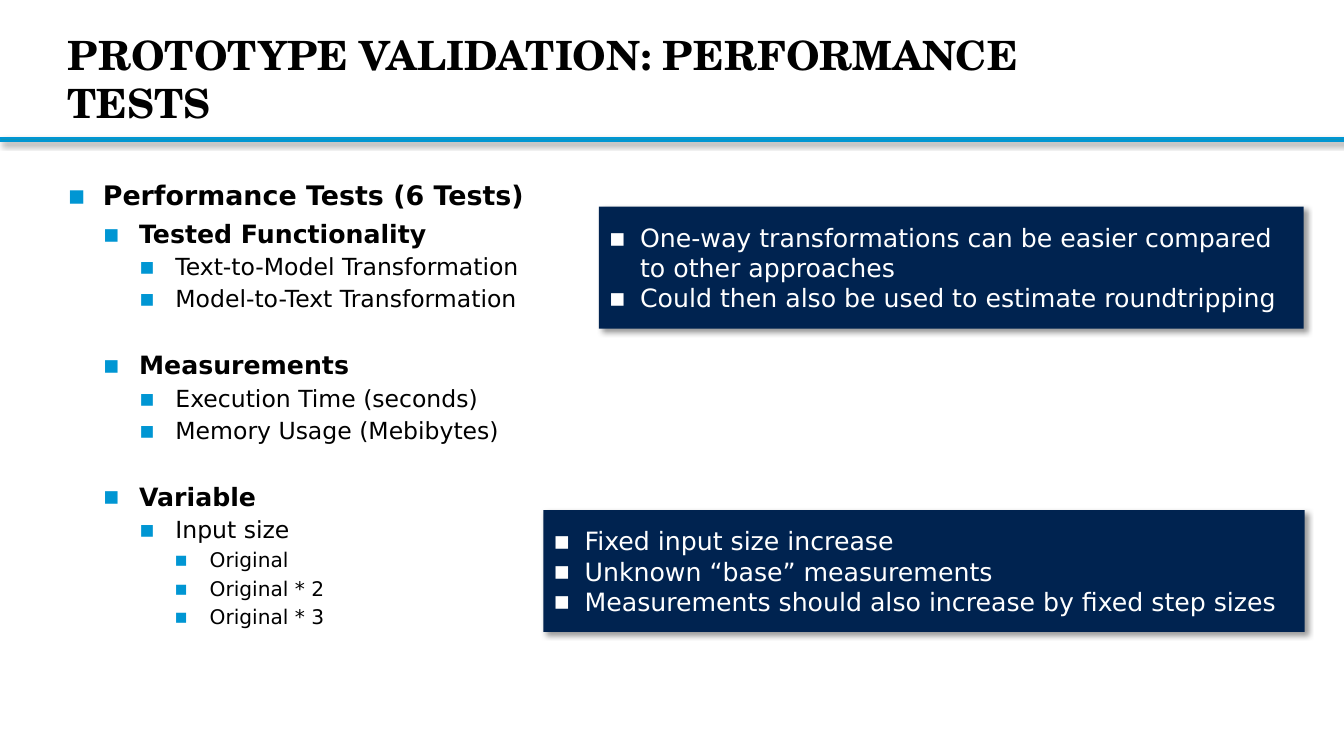
from lxml import etree
from pptx import Presentation
from pptx import util as u
from pptx.dml.color import RGBColor
from pptx.enum import shapes, text
from pptx.oxml import parse_xml
from pptx.oxml.ns import nsdecls, qn

TITLE = "PROTOTYPE VALIDATION: PERFORMANCE TESTS"
OUTLINE = [
    (0, "Performance Tests (6 Tests)"),
    (1, "Tested Functionality"),
    (2, "Text-to-Model Transformation"),
    (2, "Model-to-Text Transformation"),
    (1, "Measurements"),
    (2, "Execution Time (seconds)"),
    (2, "Memory Usage (Mebibytes)"),
    (1, "Variable"),
    (2, "Input size"),
    (3, "Original"),
    (3, "Original * 2"),
    (3, "Original * 3"),
]
LEVELS = [
    dict(size=19.2, bold=True, indent=0.35, hanging=0.35, after=7.2),
    dict(size=18, bold=True, indent=0.71, hanging=0.36, after=4.8),
    dict(size=16.8, bold=False, indent=1.07, hanging=0.36, after=4.8),
    dict(size=14.4, bold=False, indent=1.41, hanging=0.35, after=4.8),
]
SECTION_GAP = 23.7
NOTES = [
    ((5.94, 2.05, 6.99, 1.21), [
        "One-way transformations can be easier compared to other approaches",
        "Could then also be used to estimate roundtripping",
    ]),
    ((5.39, 5.06, 7.55, 1.21), [
        "Fixed input size increase",
        "Unknown “base” measurements",
        "Measurements should also increase by fixed step sizes",
    ]),
]
SERIF, SANS = "TeX Gyre Schola", "DejaVu Sans"
BLACK, WHITE, NAVY, BLUE, TEAL = "000000", "FFFFFF", "002350", "0096D3", "0C94B7"


def color(value):
    return RGBColor.from_string(value)


def add_span(para, words, size, face, tint, bold=False):
    span = para.add_run()
    span.text = words
    span.font.size = u.Pt(size)
    span.font.name = face
    span.font.bold = bold
    span.font.color.rgb = color(tint)


def add_bullet(para, indent, hanging, tint):
    props = para._p.get_or_add_pPr()
    props.set("marL", str(u.Inches(indent)))
    props.set("indent", str(-u.Inches(hanging)))
    bullet_color = etree.SubElement(props, qn("a:buClr"))
    etree.SubElement(bullet_color, qn("a:srgbClr")).set("val", tint)
    etree.SubElement(props, qn("a:buFont")).set("typeface", SANS)
    etree.SubElement(props, qn("a:buChar")).set("char", "▪")


def add_paragraph(frame, index):
    return frame.add_paragraph() if index else frame.paragraphs[0]


def add_text_area(slide, area, inset):
    frame = slide.shapes.add_textbox(*map(u.Inches, area)).text_frame
    frame.word_wrap = True
    frame.margin_left = frame.margin_right = 0
    frame.margin_top = frame.margin_bottom = u.Inches(inset)
    return frame


def add_shadowed_box(slide, area, fill):
    box = slide.shapes.add_shape(shapes.MSO_SHAPE.RECTANGLE, *map(u.Inches, area))
    box.fill.solid()
    box.fill.fore_color.rgb = color(fill)
    box.line.fill.background()
    box.shadow.inherit = False
    box._element.spPr.find(qn("a:effectLst")).append(parse_xml(
        f'<a:outerShdw {nsdecls("a")} blurRad="{u.Pt(4)}" dist="{u.Pt(3)}" '
        f'dir="{45 * 60000}" algn="tl" rotWithShape="0"><a:srgbClr val="{BLACK}">'
        '<a:alpha val="40000"/></a:srgbClr></a:outerShdw>'))
    return box


def add_outline(slide):
    frame = add_text_area(slide, (0.67, 1.76, 11.32, 4.88), 0.05)
    previous = 0
    for index, (level, words) in enumerate(OUTLINE):
        style = LEVELS[level]
        para = add_paragraph(frame, index)
        para.level = level
        para.line_spacing = 0.9
        para.space_before = u.Pt(SECTION_GAP if level < previous else 0)
        para.space_after = u.Pt(style["after"])
        add_bullet(para, style["indent"], style["hanging"], BLUE)
        add_span(para, words, style["size"], SANS, BLACK, style["bold"])
        previous = level


def add_note(slide, area, lines):
    frame = add_shadowed_box(slide, area, NAVY).text_frame
    frame.word_wrap = True
    frame.vertical_anchor = text.MSO_ANCHOR.MIDDLE
    for index, words in enumerate(lines):
        para = add_paragraph(frame, index)
        para.alignment = text.PP_ALIGN.LEFT
        add_bullet(para, 0.31, 0.31, WHITE)
        add_span(para, words, 18, SANS, WHITE)


def main():
    deck = Presentation()
    deck.slide_width, deck.slide_height = u.Inches(13.33), u.Inches(7.5)
    page = deck.slides.add_slide(deck.slide_layouts[6])

    rule = add_shadowed_box(page, (0, 1.37, 13.33, 0.03), TEAL)
    rule.line.color.rgb = color(BLUE)
    rule.line.width = u.Pt(1)

    title = add_text_area(page, (0.67, 0.18, 9.97, 1.19), 0)
    title.vertical_anchor = text.MSO_ANCHOR.MIDDLE
    add_span(title.paragraphs[0], TITLE, 28.8, SERIF, BLACK, True)

    add_outline(page)
    for area, lines in NOTES:
        add_note(page, area, lines)
    deck.save("out.pptx")


if __name__ == "__main__":
    main()
